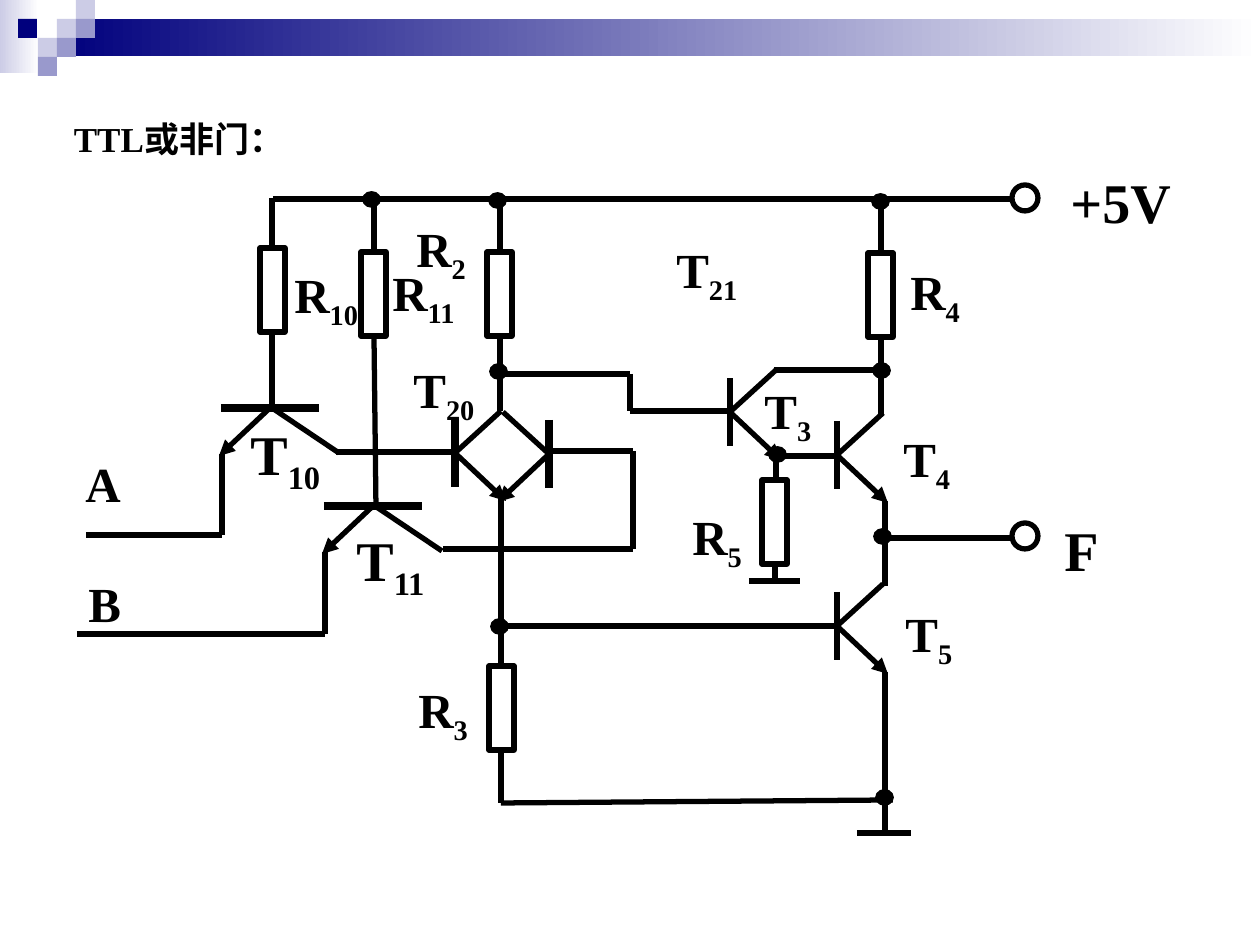
from dataclasses import dataclass
from itertools import pairwise
from typing import Any

import pptx
import pptx.dml.color
import pptx.enum.shapes
import pptx.enum.text
import pptx.oxml
import pptx.oxml.ns
import pptx.util

SHAPE = pptx.enum.shapes.MSO_SHAPE
PX_PER_INCH = 126
Point = tuple[int, int]


@dataclass(frozen=True)
class Theme:
    font: str = "Times New Roman"
    ink: str = "000000"
    paper: str = "FFFFFF"
    navy: str = "00007D"
    violet: str = "9999CC"
    lilac: str = "CCCCE6"
    title: int = 20
    label: int = 28
    large: int = 32
    wire: float = 3
    bar: float = 4.5
    dot: float = 1


@dataclass(frozen=True)
class Label:
    text: str
    sub: str
    x: int
    y: int
    w: int
    size: int = Theme.label


@dataclass(frozen=True)
class Transistor:
    """Upright transistor; x, y is the middle of its base bar, side is -1 when mirrored."""
    x: int
    y: int
    side: int = 1
    bar: float = Theme.wire


THEME = Theme()

UPRIGHT = (
    Transistor(455, 453, bar=THEME.bar),
    Transistor(549, 454, -1, THEME.bar),
    Transistor(730, 412),
    Transistor(837, 455),
    Transistor(837, 626),
)
INPUT_TRANSISTORS = ((270, 408), (373, 506))
RESISTORS = ((260, 248), (361, 252), (487, 252), (868, 253), (762, 480), (489, 666))
TERMINALS = ((1012, 185), (1012, 523))
JUNCTIONS = ((363, 192), (489, 193), (872, 194), (490, 364), (873, 363),
             (769, 447), (874, 529), (491, 619), (876, 790))

WIRES = (
    ((273, 199), (1012, 199)),  # supply rail and its branches
    ((272, 198), (272, 248)), ((272, 332), (272, 408)),
    ((374, 199), (374, 252)), ((374, 336), (376, 506)),
    ((500, 199), (500, 252)), ((500, 336), (500, 411)),
    ((881, 199), (881, 253)), ((881, 337), (881, 416)),
    ((86, 535), (222, 535), (222, 454)),  # inputs A and B
    ((77, 634), (325, 634), (325, 552)),
    ((336, 452), (455, 452)),  # links between the stages
    ((443, 549), (633, 549), (633, 451), (549, 451)),
    ((501, 374), (630, 374), (630, 411), (730, 411)),
    ((774, 370), (881, 370)), ((774, 456), (837, 456)),
    ((776, 454), (776, 480)), ((775, 564), (775, 581)), ((749, 581), (800, 581)),
    ((501, 498), (501, 666)), ((501, 626), (837, 626)),
    ((501, 750), (501, 803), (893, 800)),
    ((885, 501), (885, 586)), ((885, 538), (1012, 538)),  # output F and ground
    ((885, 672), (885, 833)), ((857, 833), (911, 833)),
)

LABELS = (
    Label("+5V", "", 1058, 161, 169, THEME.large),
    Label("F", "", 1052, 509, 100, THEME.large),
    Label("A", "", 73, 447, 95),
    Label("B", "", 76, 567, 95),
    Label("R", "10", 282, 258, 141),
    Label("R", "11", 380, 256, 141),
    Label("R", "2", 404, 212, 141),
    Label("R", "3", 406, 673, 139),
    Label("R", "4", 898, 255, 141),
    Label("R", "5", 680, 500, 84),
    Label("T", "10", 238, 413, 115, THEME.large),
    Label("T", "11", 344, 519, 97, THEME.large),
    Label("T", "20", 401, 353, 102),
    Label("T", "21", 664, 233, 123),
    Label("T", "3", 752, 374, 134),
    Label("T", "4", 891, 422, 89),
    Label("T", "5", 893, 597, 89),
)

GRADIENTS = ((0, 0, 39, 73, THEME.lilac), (57, 19, 1203, 37, THEME.navy))
TILE = 19
TILES = ((57, 19, THEME.lilac), (76, 0, THEME.lilac), (76, 19, THEME.violet),
         (38, 38, THEME.lilac), (18, 19, THEME.navy), (57, 38, THEME.violet),
         (38, 57, THEME.violet))


def px(n: int) -> int:
    return round(n * pptx.util.Inches(1) / PX_PER_INCH)


def rgb(code: str) -> pptx.dml.color.RGBColor:
    return pptx.dml.color.RGBColor.from_string(code)


def apply(target: Any, values: dict[str, Any]) -> None:
    for name, value in values.items():
        setattr(target, name, value)


def add_run(p: Any, text: str, size: int) -> Any:
    r = p.add_run()
    r.text = text
    apply(r.font, {"name": THEME.font, "size": pptx.util.Pt(size), "bold": True})
    r.font.color.rgb = rgb(THEME.ink)
    return r


def draw_shape(s: Any, kind: Any, x: int, y: int, w: int, h: int,
               fill: str | None = None, line: float = 0) -> Any:
    sp = s.shapes.add_shape(kind, px(x), px(y), px(w), px(h))
    sp.shadow.inherit = False
    if fill:
        sp.fill.solid()
        sp.fill.fore_color.rgb = rgb(fill)
    else:
        sp.fill.background()
    if line:
        sp.line.color.rgb = rgb(THEME.ink)
        sp.line.width = pptx.util.Pt(line)
    else:
        sp.line.fill.background()
    return sp


def draw_gradient(s: Any, x: int, y: int, w: int, h: int, start: str) -> None:
    sp = draw_shape(s, SHAPE.RECTANGLE, x, y, w, h)
    sp.fill.gradient()
    sp.fill.gradient_angle = 0
    for stop, color, position in zip(sp.fill.gradient_stops, (start, THEME.paper), (0, 1)):
        stop.color.rgb = rgb(color)
        stop.position = position


def draw_line(s: Any, a: Point, b: Point, width: float = THEME.wire, arrow: bool = False) -> None:
    c = s.shapes.add_connector(pptx.enum.shapes.MSO_CONNECTOR.STRAIGHT, *map(px, a + b))
    c.line.color.rgb = rgb(THEME.ink)
    c.line.width = pptx.util.Pt(width)
    if arrow:
        tail = pptx.oxml.parse_xml(f'<a:tailEnd {pptx.oxml.ns.nsdecls("a")} type="triangle"/>')
        c.line._get_or_add_ln().append(tail)
    c._element.spPr.append(pptx.oxml.parse_xml(f'<a:effectLst {pptx.oxml.ns.nsdecls("a")}/>'))


def draw_upright(s: Any, t: Transistor) -> None:
    draw_line(s, (t.x, t.y - 34), (t.x, t.y + 34), t.bar)
    draw_line(s, (t.x, t.y), (t.x + 51 * t.side, t.y + 48), arrow=True)
    draw_line(s, (t.x, t.y), (t.x + 46 * t.side, t.y - 42))


def draw_input_transistor(s: Any, x: int, y: int) -> None:
    """Transistor lying on its side, base on top."""
    draw_line(s, (x - 49, y), (x + 49, y), THEME.bar)
    draw_line(s, (x, y), (x - 51, y + 48), arrow=True)
    draw_line(s, (x + 2, y), (x + 69, y + 45))


def draw_label(s: Any, label: Label) -> None:
    height = 79 if label.size == THEME.large else 72
    tf = s.shapes.add_textbox(px(label.x), px(label.y), px(label.w), px(height)).text_frame
    tf.word_wrap = True
    p = tf.paragraphs[0]
    add_run(p, label.text, label.size)
    if label.sub:
        r = add_run(p, label.sub, label.size)
        r.font._element.set("baseline", "-25000")


def draw_title(s: Any, text: str) -> None:
    sp = s.shapes.title
    apply(sp, {"left": px(45), "top": px(111), "width": px(233), "height": px(55)})
    tf = sp.text_frame
    apply(tf, {"word_wrap": False, "vertical_anchor": pptx.enum.text.MSO_ANCHOR.MIDDLE})
    p = tf.paragraphs[0]
    p.alignment = pptx.enum.text.PP_ALIGN.CENTER
    add_run(p, text, THEME.title)


def main() -> None:
    prs = pptx.Presentation()
    apply(prs, {"slide_width": px(1260), "slide_height": px(945)})
    s = prs.slides.add_slide(prs.slide_layouts[5])
    for band in GRADIENTS:
        draw_gradient(s, *band)
    for x, y, color in TILES:
        draw_shape(s, SHAPE.RECTANGLE, x, y, TILE, TILE, color)
    draw_title(s, "TTL或非门：")
    for wire in WIRES:
        for a, b in pairwise(wire):
            draw_line(s, a, b)
    for t in UPRIGHT:
        draw_upright(s, t)
    for x, y in INPUT_TRANSISTORS:
        draw_input_transistor(s, x, y)
    for x, y in RESISTORS:
        draw_shape(s, SHAPE.RECTANGLE, x, y, 25, 84, line=THEME.wire)
    for x, y in TERMINALS:
        draw_shape(s, SHAPE.OVAL, x, y, 26, 26, line=THEME.wire)
    for x, y in JUNCTIONS:
        draw_shape(s, SHAPE.OVAL, x, y, 17, 15, THEME.ink, THEME.dot)
    for label in LABELS:
        draw_label(s, label)
    prs.save("out.pptx")


if __name__ == "__main__":
    main()
